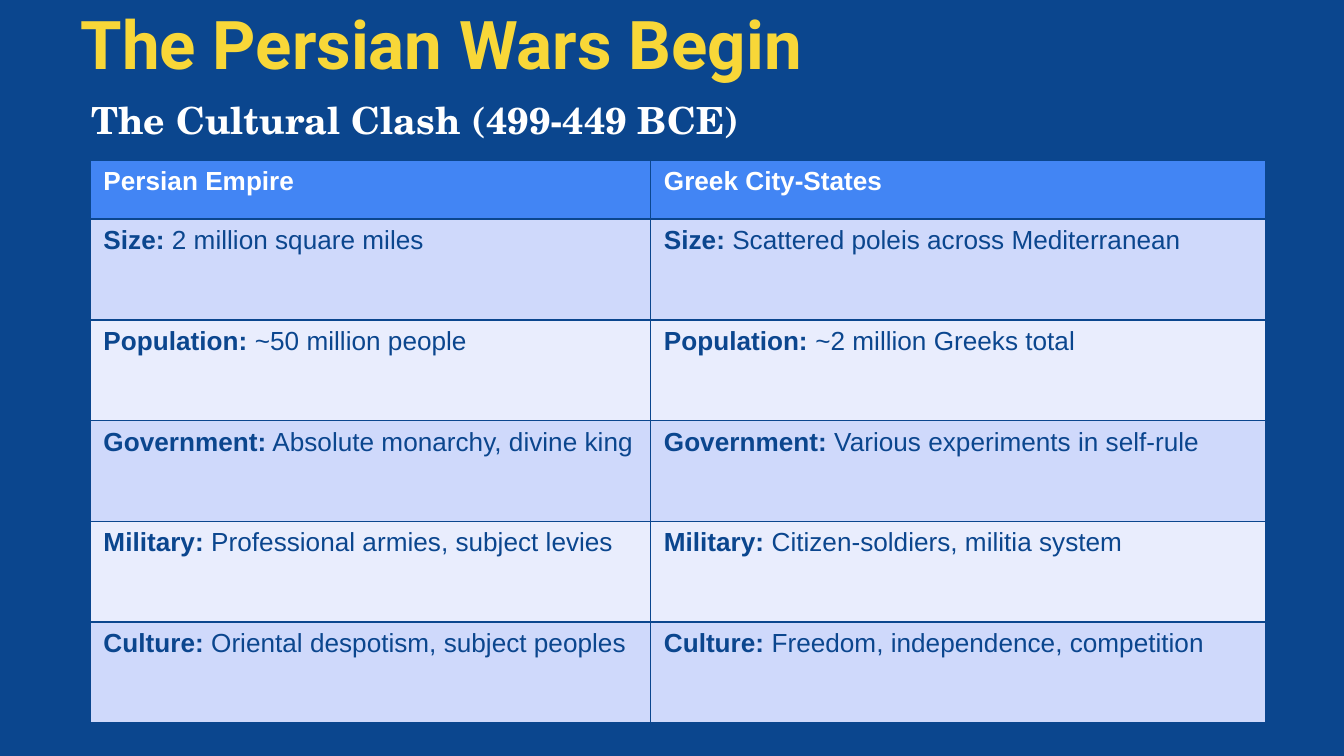
from lxml.etree import SubElement
from pptx import Presentation
from pptx.dml.color import RGBColor
from pptx.enum.text import MSO_ANCHOR, MSO_AUTO_SIZE, PP_ALIGN
from pptx.oxml.ns import qn
from pptx.util import Inches, Pt

NAVY, YELLOW, WHITE = "0B468E", "F8D738", "FFFFFF"
HEADER_FILL, BAND_FILLS = "4285F4", ("CFD9FB", "E9EDFD")

TITLE = "The Persian Wars Begin"
SUBTITLE = "The Cultural Clash (499-449 BCE)"
HEADERS = ("Persian Empire", "Greek City-States")
ROWS = [
    ("Size:", "2 million square miles", "Scattered poleis across Mediterranean"),
    ("Population:", "~50 million people", "~2 million Greeks total"),
    ("Government:", "Absolute monarchy, divine king", "Various experiments in self-rule"),
    ("Military:", "Professional armies, subject levies", "Citizen-soldiers, militia system"),
    ("Culture:", "Oriental despotism, subject peoples", "Freedom, independence, competition"),
]
COL_WIDTHS = (4.17, 4.58)
HEADER_HEIGHT, ROW_HEIGHT = 0.44, 0.75


def rgb(color):
    return RGBColor.from_string(color)


def set_font(font, name, size, color, bold=None):
    font.name, font.size, font.bold = name, Pt(size), bold
    font.color.rgb = rgb(color)


def fill_placeholder(sp, box, text, anchor, name, size, color):
    sp.left, sp.top, sp.width, sp.height = map(Inches, box)
    tf = sp.text_frame
    tf.text = text
    tf.word_wrap, tf.auto_size = True, MSO_AUTO_SIZE.NONE
    tf.vertical_anchor = anchor
    tf.margin_left = tf.margin_top = tf.margin_right = tf.margin_bottom = Inches(0.1)
    p = tf.paragraphs[0]
    p.alignment, p.space_before = PP_ALIGN.LEFT, Pt(0)
    set_font(p.font, name, size, color, True)
    return p


def style_cell(cell, fill):
    """Outline the cell, then fill it: the schema wants borders first."""
    tc_pr = cell._tc.get_or_add_tcPr()
    for side in ("a:lnL", "a:lnR", "a:lnT", "a:lnB"):
        ln = SubElement(tc_pr, qn(side), w=str(Pt(1)))
        SubElement(SubElement(ln, qn("a:solidFill")), qn("a:srgbClr"), val=NAVY)
    cell.fill.solid()
    cell.fill.fore_color.rgb = rgb(fill)


prs = Presentation()
prs.slide_width = Inches(10)
prs.slide_height = prs.slide_width * 9 // 16
s = prs.slides.add_slide(prs.slide_layouts[1])
s.background.fill.solid()
s.background.fill.fore_color.rgb = rgb(NAVY)

fill_placeholder(s.shapes.title, (0.5, 0.29, 5.59, 0.43), TITLE,
                 MSO_ANCHOR.BOTTOM, "Roboto", 36, YELLOW)
p = fill_placeholder(s.placeholders[1], (0.58, 0.57, 8.08, 0.62), SUBTITLE,
                     MSO_ANCHOR.TOP, "TeX Gyre Schola", 20, WHITE)
p.line_spacing = 1.15
p_pr = p._p.get_or_add_pPr()
p_pr.set("marL", "0")
p_pr.set("indent", "0")
p_pr.insert_element_before(p_pr.makeelement(qn("a:buNone")), "a:tabLst", "a:defRPr", "a:extLst")

heights = [HEADER_HEIGHT] + [ROW_HEIGHT] * len(ROWS)
table = s.shapes.add_table(len(heights), len(HEADERS), Inches(0.67), Inches(1.19),
                           Inches(sum(COL_WIDTHS)), Inches(sum(heights))).table
for column, width in zip(table.columns, COL_WIDTHS):
    column.width = Inches(width)
for row, height in zip(table.rows, heights):
    row.height = Inches(height)

for c, header in enumerate(HEADERS):
    cell = table.cell(0, c)
    cell.text = header
    set_font(cell.text_frame.paragraphs[0].font, "Arial", 14, WHITE, True)
    style_cell(cell, HEADER_FILL)

for i, (label, *values) in enumerate(ROWS):
    for c, value in enumerate(values):
        cell = table.cell(i + 1, c)
        p = cell.text_frame.paragraphs[0]
        set_font(p.font, "Arial", 14, NAVY)
        for text, bold in ((label, True), (f" {value}", False)):
            r = p.add_run()
            r.text = text
            set_font(r.font, "Arial", 14, NAVY, bold)
        style_cell(cell, BAND_FILLS[i % 2])

prs.save("out.pptx")
